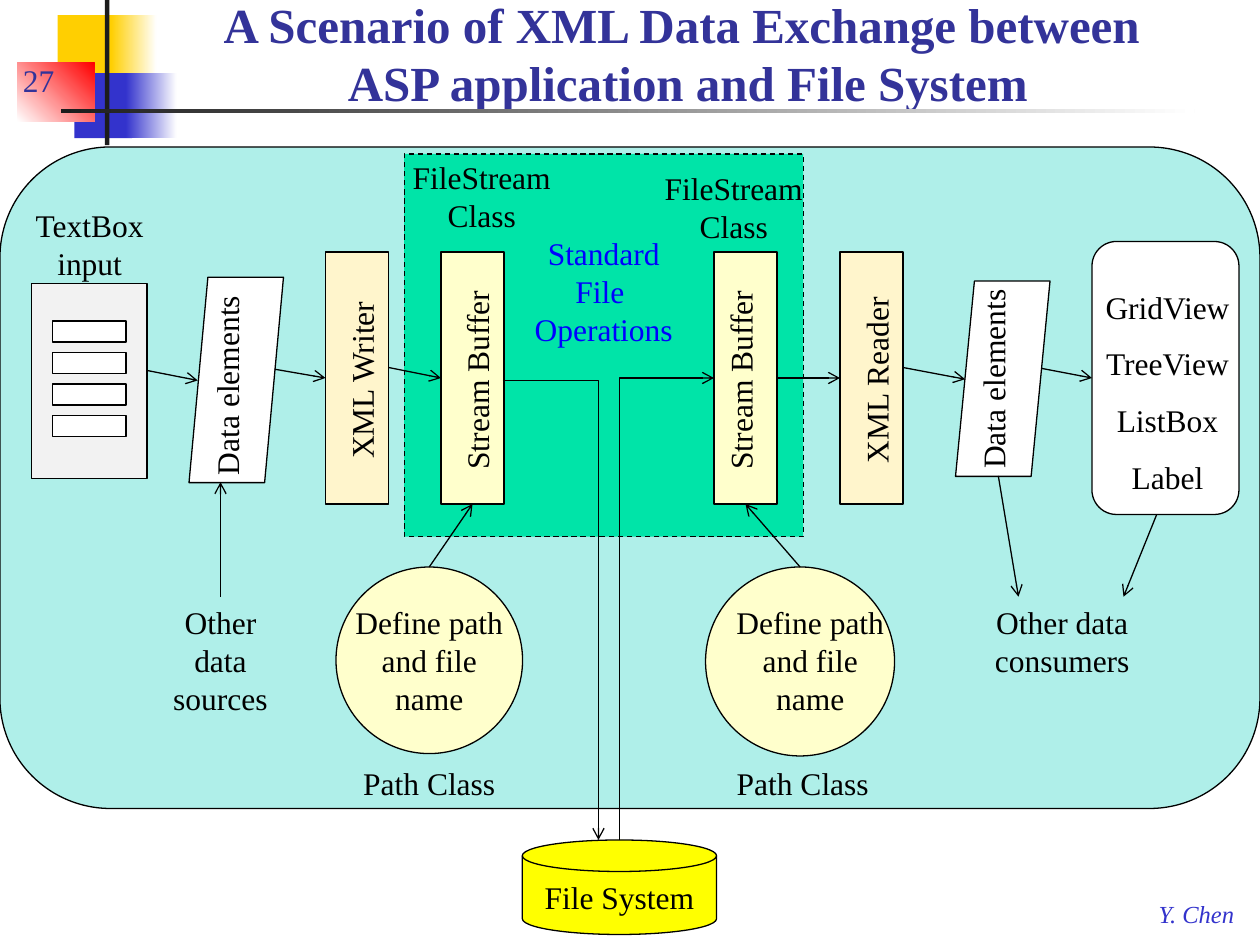
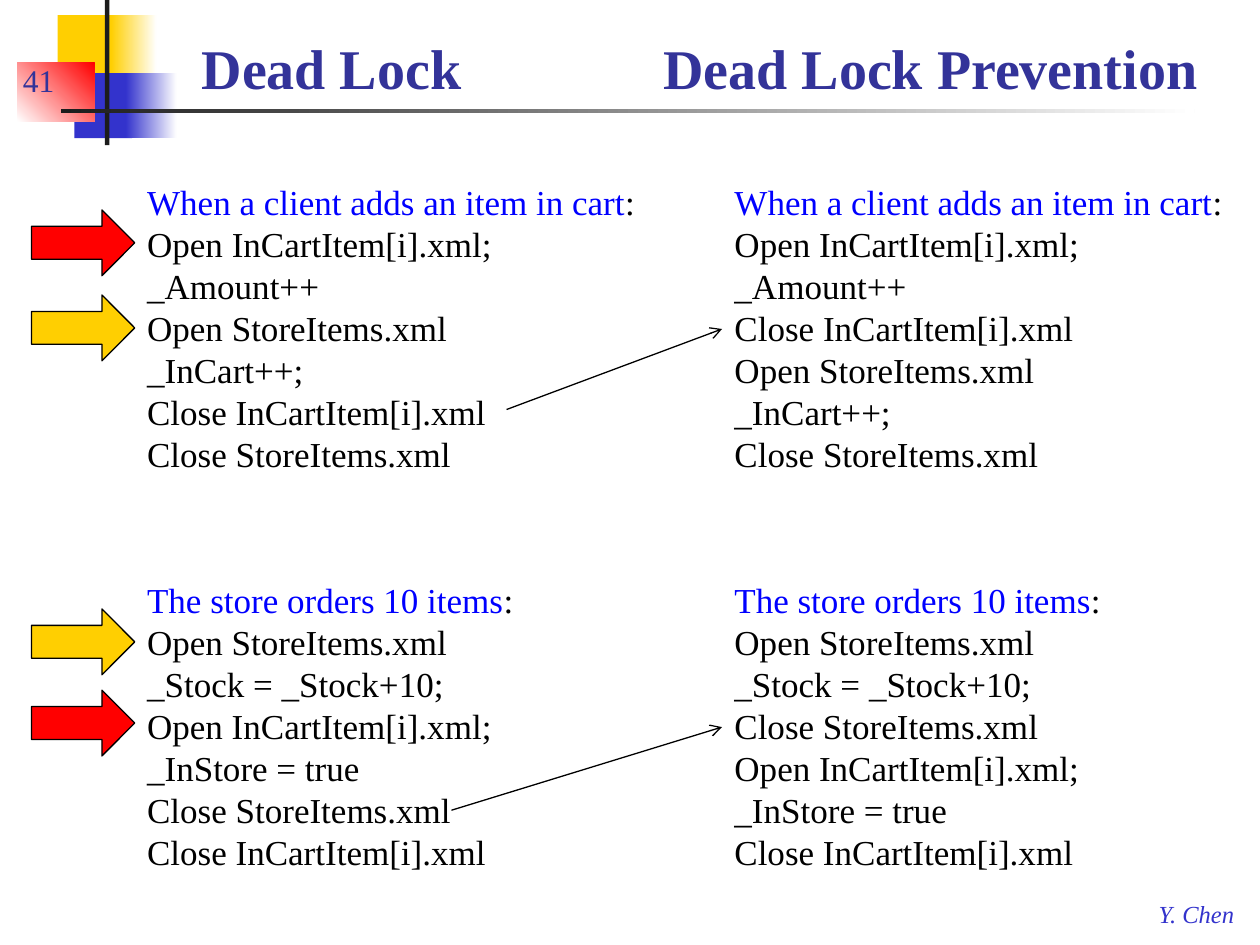
from dataclasses import dataclass

from lxml import etree
from pptx import Presentation
from pptx.dml.color import RGBColor
from pptx.enum.dml import MSO_LINE
from pptx.enum.shapes import MSO_CONNECTOR, MSO_SHAPE
from pptx.enum.text import MSO_ANCHOR, MSO_AUTO_SIZE, PP_ALIGN
from pptx.oxml.ns import qn
from pptx.util import Pt

RECT = MSO_SHAPE.RECTANGLE
ROUNDED = MSO_SHAPE.ROUNDED_RECTANGLE
CARD = MSO_SHAPE.FLOWCHART_ALTERNATE_PROCESS
PARALLELOGRAM = MSO_SHAPE.FLOWCHART_DATA
DISK = MSO_SHAPE.FLOWCHART_MAGNETIC_DISK
OVAL = MSO_SHAPE.OVAL
BLOCK_ARROW = MSO_SHAPE.RIGHT_ARROW
STRAIGHT = MSO_CONNECTOR.STRAIGHT
ELBOW = MSO_CONNECTOR.ELBOW
DASH = MSO_LINE.DASH
LEFT = PP_ALIGN.LEFT
CENTER = PP_ALIGN.CENTER
TOP = MSO_ANCHOR.TOP
BOTTOM = MSO_ANCHOR.BOTTOM
FIT_SHAPE = MSO_AUTO_SIZE.SHAPE_TO_FIT_TEXT
NO_FIT = MSO_AUTO_SIZE.NONE


@dataclass(frozen=True)
class Theme:
    font: str = "Times New Roman"
    black: str = "000000"
    white: str = "FFFFFF"
    title: str = "333399"
    royal: str = "3333CC"
    blue: str = "0000FF"
    gold: str = "FFCF01"
    red: str = "FF0000"
    bar: str = "1C1C1C"
    scene: str = "AFEFE9"
    stream: str = "00E4A8"
    buffer: str = "FFFFCC"
    xml: str = "FFF5CC"
    form: str = "F2F2F2"
    disk: str = "FFFF00"
    wide_title_size: int = 28
    title_size: int = 32
    code_size: int = 20
    body_size: int = 18
    footer_size: int = 14
    line_width: float = 0.75


class Deck:
    def __init__(self, theme):
        self.theme = theme
        self.show = Presentation()
        self.show.slide_width, self.show.slide_height = Pt(720), Pt(540)
        self.slide = None

    def new_slide(self, number):
        t = self.theme
        self.slide = self.show.slides.add_slide(self.show.slide_layouts[5])
        self.shape(RECT, (33, 8.6, 34.5, 37), t.gold, outlined=False)
        self.fade((63.5, 8.6, 26, 37), t.gold, t.white)
        self.shape(RECT, (42.5, 41.75, 33, 37.25), t.royal, outlined=False)
        self.fade((72, 41.75, 29, 37.25), t.royal, t.white)
        self.fade((10, 36, 44, 33.5), t.white, t.red, 45)
        self.shape(RECT, (60, 0, 2.5, 83), t.bar, outlined=False)
        self.fade((34.75, 62.25, 648, 2.25), t.bar, t.white)
        self.text((655, 510, 59, 24), ["Y. Chen"], align=LEFT, size=t.footer_size,
                  color=t.royal, italic=True, wrap=False)
        self.text((6, 24, 54, 36), [number], align=LEFT, color=t.title,
                  anchor=BOTTOM, fit=NO_FIT)

    def fill_text(self, frame, lines, align=CENTER, size=None, color=None,
                  bold=False, italic=False, spacing=None):
        for index, line in enumerate(lines):
            paragraph = frame.paragraphs[0] if index == 0 else frame.add_paragraph()
            paragraph.alignment = align
            if spacing:
                paragraph.line_spacing = spacing
            pieces = [(line, color)] if isinstance(line, str) else line
            for words, tint in pieces:
                if words == "\n":
                    paragraph.add_line_break()
                    continue
                run = paragraph.add_run()
                run.text = words
                run.font.name = self.theme.font
                run.font.size = Pt(size or self.theme.body_size)
                run.font.bold, run.font.italic = bold, italic
                run.font.color.rgb = RGBColor.from_string(tint or self.theme.black)

    def title(self, box, lines, size, align=LEFT):
        heading = self.slide.shapes.title
        heading.left, heading.top, heading.width, heading.height = map(Pt, box)
        heading.text_frame.auto_size = NO_FIT
        heading.text_frame.vertical_anchor = BOTTOM
        self.fill_text(heading.text_frame, lines, align, size, self.theme.title, bold=True)

    def text(self, box, lines, wrap=True, anchor=TOP, fit=FIT_SHAPE, **style):
        label = self.slide.shapes.add_textbox(*map(Pt, box))
        frame = label.text_frame
        frame.word_wrap, frame.auto_size, frame.vertical_anchor = wrap, fit, anchor
        self.fill_text(frame, lines, **style)
        return label

    def vertical_text(self, words, center_x, center_y, length):
        box = (center_x - length / 2, center_y - 14.5, length, 29)
        self.text(box, [words], wrap=False, align=LEFT).rotation = 270

    def shape(self, kind, box, fill, outlined=True, adjustments=()):
        figure = self.slide.shapes.add_shape(kind, *map(Pt, box))
        figure.shadow.inherit = False
        figure.fill.solid()
        figure.fill.fore_color.rgb = RGBColor.from_string(fill)
        if outlined:
            figure.line.color.rgb = RGBColor.from_string(self.theme.black)
            figure.line.width = Pt(self.theme.line_width)
        else:
            figure.line.fill.background()
        for index, value in enumerate(adjustments):
            figure.adjustments[index] = value
        return figure

    def fade(self, box, start, end, angle=0):
        band = self.shape(RECT, box, start, outlined=False)
        band.fill.gradient()
        band.fill.gradient_angle = angle
        for stop, color in zip(band.fill.gradient_stops, (start, end)):
            stop.color.rgb = RGBColor.from_string(color)

    def inner_text(self, figure, lines, top=3.6, color=None):
        frame = figure.text_frame
        frame.word_wrap, frame.vertical_anchor = True, TOP
        frame.margin_top = Pt(top)
        self.fill_text(frame, lines, color=color)

    def arrow(self, start, end, kind=STRAIGHT, tip="tailEnd"):
        link = self.slide.shapes.add_connector(kind, *map(Pt, start + end))
        link.line.color.rgb = RGBColor.from_string(self.theme.black)
        link.line.width = Pt(self.theme.line_width)
        properties = link._element.spPr
        if kind == ELBOW:
            properties.find(qn("a:prstGeom")).set("prst", "bentConnector2")
        etree.SubElement(properties.find(qn("a:ln")), qn("a:" + tip), type="arrow")
        etree.SubElement(properties, qn("a:effectLst"))

    def code(self, box, heading, statements):
        opening = [(heading, self.theme.blue), (":", self.theme.black)]
        self.text(box, [opening, *statements], wrap=False, align=LEFT,
                  size=self.theme.code_size)

    def path_class(self, circle_x, diameter, text_x, caption_x, buffer_x):
        self.shape(OVAL, (circle_x, 324, diameter, diameter), self.theme.buffer)
        self.text((text_x, 341, 106.6, 73), ["Define path and file name"])
        self.text((caption_x, 433, 106.6, 29), ["Path Class"])
        self.arrow((circle_x + diameter / 2, 324), (buffer_x, 288))


theme = Theme()
deck = Deck(theme)

deck.new_slide("27")
deck.title((108, -6, 570, 73.5),
           [[("A Scenario of XML Data Exchange between ", theme.title), ("\n", None),
             ("ASP application and File System", theme.title)]],
           theme.wide_title_size, CENTER)
deck.shape(ROUNDED, (0, 84, 720, 378), theme.scene, adjustments=[0.167])
operations = deck.shape(RECT, (231, 88, 228, 218.75), theme.stream)
operations.line.dash_style = DASH
deck.inner_text(operations, ["Standard", "File ", "Operations"], 46, theme.blue)

deck.text((12, 114, 78.5, 51), ["TextBox", "input"], wrap=False)
deck.shape(RECT, (18, 162, 66, 111.6), theme.form)
for row in range(4):
    deck.shape(RECT, (30, 183.5 + 18 * row, 42, 12), theme.white)

for left, top, height, label_x, label_y in [(108, 158.4, 117.4, 129.6, 219.6),
                                            (546, 160.6, 111.6, 567.4, 216)]:
    deck.shape(PARALLELOGRAM, (left, top, 54, height), theme.white)
    deck.vertical_text("Data elements", label_x, label_y, 118)

for words, left, fill, label_x, length in [
    ("XML Writer", 186, theme.xml, 206.6, 105),
    ("Stream Buffer", 252, theme.buffer, 272.5, 117.4),
    ("Stream Buffer", 408, theme.buffer, 423, 117.4),
    ("XML Reader", 480, theme.xml, 500.8, 110),
]:
    deck.shape(RECT, (left, 144, 36, 144), fill)
    deck.vertical_text(words, label_x, 216.7, length)

for left, top in [(222, 87), (366, 93)]:
    deck.text((left, top, 106.5, 51), ["FileStream", "Class"])

deck.shape(CARD, (624, 138, 84, 156), theme.white)
deck.text((624, 150, 86.4, 134), ["GridView", "TreeView", "ListBox", "Label"],
          wrap=False, spacing=1.5)

deck.path_class(192, 106.6, 192, 192, 270)
deck.path_class(403.2, 108, 409.7, 405.4, 426)
deck.text((90, 341, 72, 73), ["Other data sources"])
deck.text((553, 341, 108, 51), ["Other data consumers"])
file_system = deck.shape(DISK, (298.5, 480, 111, 54), theme.disk)
deck.inner_text(file_system, ["File System"])

for start, end in [
    ((84, 211.7), (113, 217.4)),
    ((157, 211), (186, 216)),
    ((222, 210), (252, 216)),
    ((444, 216), (480, 216)),
    ((516, 210), (551.5, 216.7)),
    ((595, 210.5), (624, 216)),
    ((126, 341), (126, 275.5)),
    ((570.5, 272), (582, 341)),
    ((661, 294), (642, 341)),
]:
    deck.arrow(start, end)
deck.arrow((287.3, 217.4), (342, 480), ELBOW)
deck.arrow((408, 216), (354, 480), ELBOW, "headEnd")

deck.new_slide("41")
deck.title((108, 12, 186, 49), ["Dead Lock"], theme.title_size)
deck.text((372, 12, 330, 49), ["Dead Lock Prevention"], anchor=BOTTOM, fit=NO_FIT,
          align=LEFT, size=theme.title_size, color=theme.title, bold=True)

open_cart, close_cart = "Open InCartItem[i].xml;", "Close InCartItem[i].xml"
open_store, close_store = "Open StoreItems.xml", "Close StoreItems.xml"
amount, in_cart = "_Amount++", "_InCart++;"
stock, in_store = "_Stock = _Stock+10;", "_InStore = true"
client, store = "When a client adds an item in cart", "The store orders 10 items"
lock_x, prevention_x = 77, 412.6
client_y, store_y = 99.4, 327

for left, top, width, heading, statements in [
    (lock_x, client_y, 295, client,
     [open_cart, amount, open_store, in_cart, close_cart, close_store]),
    (lock_x, store_y, 225, store,
     [open_store, stock, open_cart, in_store, close_store, close_cart]),
    (prevention_x, client_y, 295, client,
     [open_cart, amount, close_cart, open_store, in_cart, close_store]),
    (prevention_x, store_y, 225, store,
     [open_store, stock, close_store, open_cart, in_store, close_cart]),
]:
    deck.code((left, top, width, 177), heading, statements)

deck.arrow((289.5, 234), (prevention_x, 188))
deck.arrow((258, 463), (prevention_x, 415.5))
for top, fill in [(120, theme.red), (168.6, theme.gold),
                  (348, theme.gold), (394.4, theme.red)]:
    deck.shape(BLOCK_ARROW, (18, top, 59, 37.6), fill, adjustments=[0.5, 0.498])

deck.show.save("out.pptx")
